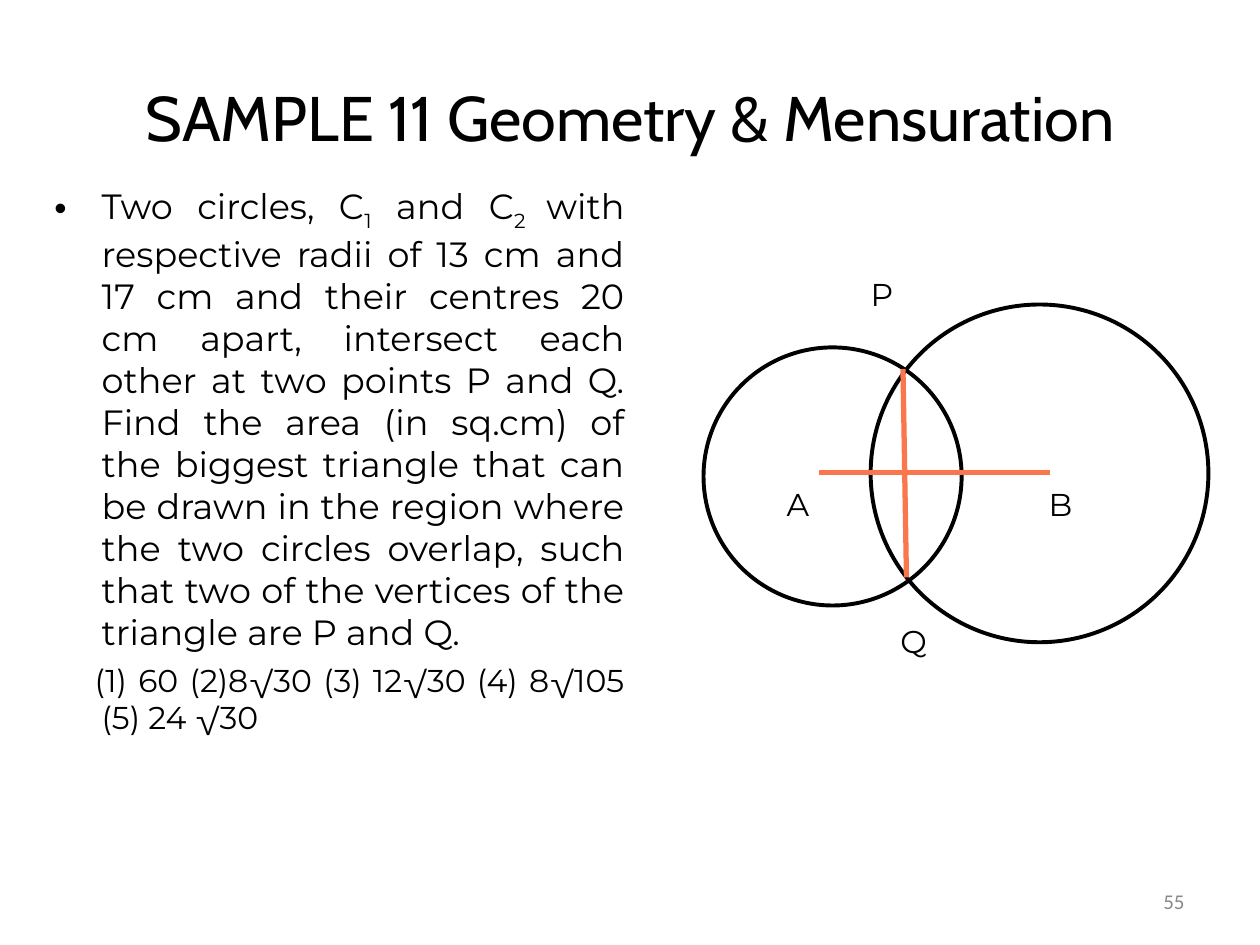
"""Build the geometry question slide with two intersecting circles."""
from dataclasses import dataclass

import pptx
import pptx.dml.color
import pptx.enum.shapes
import pptx.enum.text
import pptx.util
from lxml import etree

Pt = pptx.util.Pt
Align = pptx.enum.text.PP_ALIGN
Anchor = pptx.enum.text.MSO_ANCHOR
BLACK, ORANGE, GREY = "000000", "FA774E", "898989"
DRAWING = "{http://schemas.openxmlformats.org/drawingml/2006/main}"


@dataclass(frozen=True)
class Circle:
    left: float
    top: float
    diameter: float


@dataclass(frozen=True)
class Segment:
    x1: float
    y1: float
    x2: float
    y2: float


@dataclass(frozen=True)
class Label:
    text: str
    left: float
    top: float
    width: float = 48
    height: float = 24
    size: float = 18
    face: str = "Montserrat"
    color: str = BLACK
    align: Align = Align.CENTER


CIRCLES = [Circle(402, 198.5, 147.5), Circle(497.5, 174, 193)]
SEGMENTS = [Segment(516, 211, 518, 330), Segment(468, 270, 600, 270)]
LABELS = [
    Label("P", 480, 156),
    Label("Q", 498, 354),
    Label("A", 432, 276),
    Label("B", 582, 276),
    Label("55", 516, 500.5, 168, 28.5, 12, "Calibri", GREY, Align.RIGHT),
]
QUESTION = [
    ("Two circles, C", False),
    ("1", True),
    (" and C", False),
    ("2 ", True),
    ("with respective radii of 13 cm and 17 cm and their centres 20 cm apart, "
     "intersect each other at two points P and Q. Find the area (in sq.cm) of "
     "the biggest triangle that can be drawn in the region where the two circles "
     "overlap, such that two of the vertices of the triangle are P and Q.", False),
]
OPTIONS = "(1) 60 (2)8√30 (3) 12√30 (4) 8√105 (5) 24 √30"


def rgb(color: str) -> pptx.dml.color.RGBColor:
    return pptx.dml.color.RGBColor.from_string(color)


def style(paragraph, size: float, face: str, color: str, align: Align) -> None:
    paragraph.alignment = align
    paragraph.font.size = Pt(size)
    paragraph.font.name = face
    paragraph.font.color.rgb = rgb(color)


def indent(paragraph, margin: float, first: float, bullet: str = "") -> None:
    properties = paragraph._p.get_or_add_pPr()
    properties.set("marL", str(Pt(margin)))
    properties.set("indent", str(Pt(first)))
    if bullet:
        etree.SubElement(properties, DRAWING + "buFont", typeface="Arial")
        etree.SubElement(properties, DRAWING + "buChar", char=bullet)


def draw_circle(slide, circle: Circle) -> None:
    outline = slide.shapes.add_shape(
        pptx.enum.shapes.MSO_SHAPE.OVAL, Pt(circle.left), Pt(circle.top),
        Pt(circle.diameter), Pt(circle.diameter))
    outline.shadow.inherit = False
    outline.fill.background()
    outline.line.color.rgb = rgb(BLACK)
    outline.line.width = Pt(2.25)


def draw_segment(slide, segment: Segment) -> None:
    chord = slide.shapes.add_connector(
        pptx.enum.shapes.MSO_CONNECTOR.STRAIGHT, Pt(segment.x1), Pt(segment.y1),
        Pt(segment.x2), Pt(segment.y2))
    chord.line.color.rgb = rgb(ORANGE)
    chord.line.width = Pt(3)
    etree.SubElement(chord._element.spPr, DRAWING + "effectLst")


def add_frame(slide, left: float, top: float, width: float, height: float):
    frame = slide.shapes.add_textbox(
        Pt(left), Pt(top), Pt(width), Pt(height)).text_frame
    frame.word_wrap = True
    return frame


def draw_label(slide, label: Label) -> None:
    frame = add_frame(slide, label.left, label.top, label.width, label.height)
    frame.vertical_anchor = Anchor.MIDDLE
    frame.text = label.text
    style(frame.paragraphs[0], label.size, label.face, label.color, label.align)


def draw_title(slide) -> None:
    title = slide.shapes.title
    title.left, title.top, title.width, title.height = Pt(36), Pt(21.5), Pt(648), Pt(90)
    title.text_frame.text = "SAMPLE 11 Geometry & Mensuration"
    title.text_frame.vertical_anchor = Anchor.MIDDLE
    style(title.text_frame.paragraphs[0], 36, "Cabin", BLACK, Align.CENTER)


def draw_question(slide) -> None:
    frame = add_frame(slide, 24, 102, 340, 397)
    question = frame.paragraphs[0]
    indent(question, 27, -27, "•")
    style(question, 20, "Montserrat", BLACK, Align.JUSTIFY)
    for text, is_subscript in QUESTION:
        run = question.add_run()
        run.text = text
        if is_subscript:
            run.font._element.set("baseline", "-25000")
    options = frame.add_paragraph()
    options.text = OPTIONS
    indent(options, 27, -4)
    options.space_before = Pt(4.5)
    style(options, 18, "Montserrat", BLACK, Align.JUSTIFY)


def main() -> None:
    deck = pptx.Presentation()
    deck.slide_width, deck.slide_height = Pt(720), Pt(540)
    slide = deck.slides.add_slide(deck.slide_layouts[5])
    draw_title(slide)
    draw_question(slide)
    for circle in CIRCLES:
        draw_circle(slide, circle)
    for segment in SEGMENTS:
        draw_segment(slide, segment)
    for label in LABELS:
        draw_label(slide, label)
    deck.save("out.pptx")


if __name__ == "__main__":
    main()
